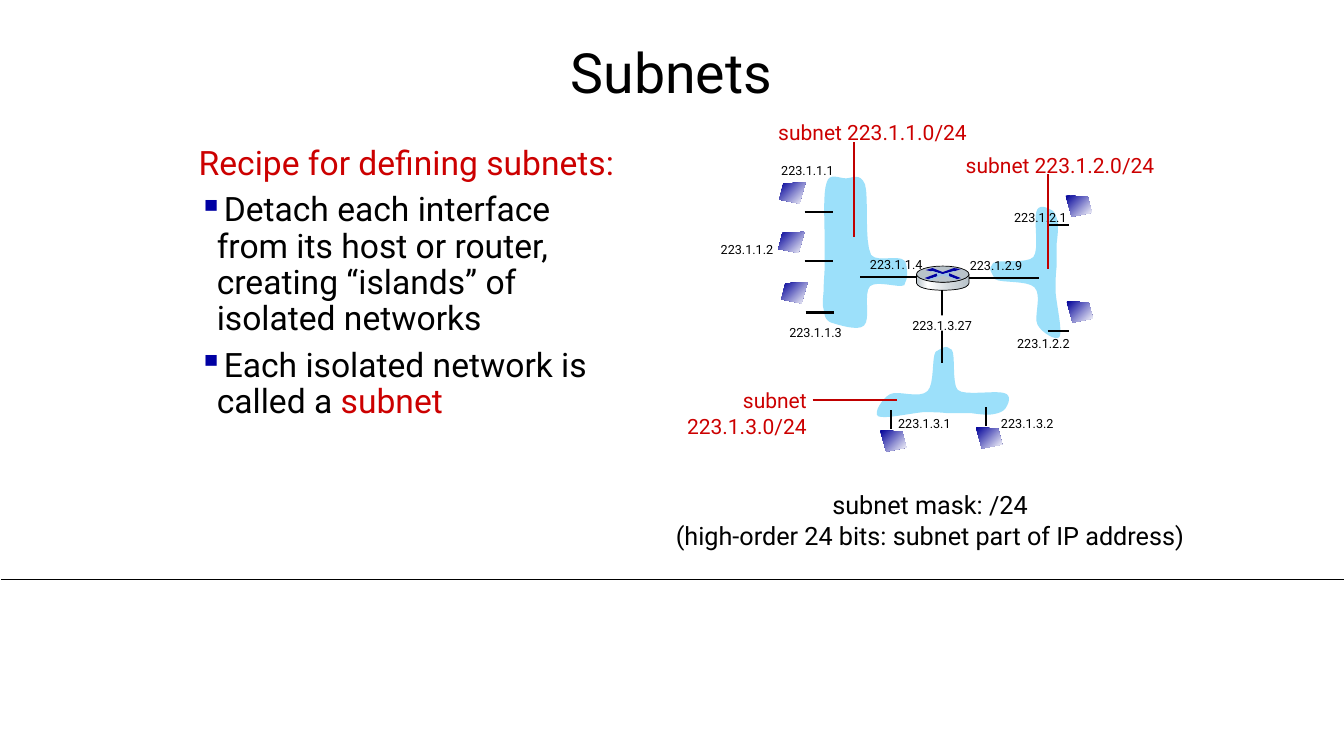
from lxml import etree
from pptx import Presentation, util as u
from pptx.dml.color import RGBColor
from pptx.enum import shapes, text
from pptx.oxml.ns import qn

BLACK = RGBColor(0x00, 0x00, 0x00)
WHITE = RGBColor(0xFF, 0xFF, 0xFF)
RED = RGBColor(0xCC, 0x00, 0x00)
LEADER_RED = RGBColor(0xC0, 0x00, 0x00)
ISLAND_BLUE = RGBColor(0x9C, 0xE0, 0xFA)
HOST_BLUE = RGBColor(0x00, 0x00, 0x99)
ARROW_BLUE = RGBColor(0x00, 0x00, 0xA3)
CROSS_BLUE = RGBColor(0x9D, 0xC3, 0xE6)
STEEL = RGBColor(0xB8, 0xC2, 0xC9)
PALE_STEEL = RGBColor(0xD6, 0xDC, 0xE0)
FONT = "Roboto"

RECIPE = [
    (False, [("Recipe for defining subnets:", RED)]),
    (True, [("Detach each interface from its host or router, creating "
             "“islands” of isolated networks", BLACK)]),
    (True, [("Each isolated network is called a ", BLACK), ("subnet", RED)]),
]
MASK = ["subnet mask: /24", "(high-order 24 bits: subnet part of IP address)"]

# Subnet name lines, box, alignment, leader ends, leader width
SUBNETS = [
    (["subnet", "223.1.3.0/24"], (6.71, 3.8, 1.39, 0.61), text.PP_ALIGN.RIGHT,
     (8.06, 3.97, 8.9, 3.97), 1.25),
    (["subnet 223.1.1.0/24"], (7.62, 1.14, 2.09, 0.35), text.PP_ALIGN.LEFT,
     (8.47, 1.41, 8.47, 2.35), 1.5),
    (["subnet 223.1.2.0/24"], (9.48, 1.46, 2.09, 0.35), text.PP_ALIGN.LEFT,
     (10.39, 1.73, 10.39, 2.67), 1.5),
]
ADDRESSES = [
    ("223.1.1.1", 7.65, 1.57), ("223.1.1.2", 7.05, 2.35), ("223.1.1.3", 7.73, 3.17),
    ("223.1.1.4", 8.53, 2.5), ("223.1.2.9", 9.52, 2.51), ("223.1.2.2", 9.99, 3.28),
    ("223.1.2.1", 9.96, 2.03), ("223.1.3.2", 9.83, 4.08), ("223.1.3.1", 8.81, 4.08),
    ("223.1.3.27", 8.95, 3.1),
]
LABEL_BACKINGS = [(7.12, 2.42, 0.68, 0.15), (9, 3.13, 0.7, 0.15)]

# Stub starts, then the shared direction and length
STUBS = [
    ([(7.98, 2.1), (7.98, 2.59), (7.99, 3.1)], (0.28, 0)),
    ([(10.39, 2.23), (10.39, 3.28)], (0.21, 0)),
    ([(8.84, 4.07), (9.78, 4.04)], (0, 0.19)),
    ([(9.34, 2.88)], (0, 0.72)),
    ([(8.53, 2.75)], (0.65, 0)),
    ([(9.5, 2.76)], (0.8, 0)),
]
HOST_W = 0.26
HOST_CORNERS = [(0, 0), (0.22, 0.01), (HOST_W, 0.17), (0.06, 0.21)]
HOSTS = [  # left, top, mirrored
    (7.73, 1.81, True), (7.72, 2.3, True), (7.75, 2.8, True),
    (10.57, 1.94, False), (10.58, 2.99, False), (9.68, 4.24, False), (8.73, 4.27, False),
]

# Outlines: a start point, then line ends (x, y) or curves (two controls and an end)
ISLANDS = [
    [(9.28, 3.49), (9.24, 3.55, 9.27, 3.81, 9.2, 3.88), (9.12, 3.96, 8.91, 3.87, 8.83, 3.91),
     (8.75, 3.95, 8.66, 4.1, 8.71, 4.13), (8.77, 4.16, 9.04, 4.1, 9.15, 4.09),
     (9.27, 4.09, 9.32, 4.09, 9.4, 4.1), (9.49, 4.1, 9.56, 4.1, 9.64, 4.1),
     (9.71, 4.11, 9.79, 4.12, 9.85, 4.11), (9.91, 4.1, 9.96, 4.08, 9.98, 4.04),
     (10, 4.01, 10.04, 3.92, 9.96, 3.9), (9.88, 3.87, 9.57, 3.93, 9.5, 3.87),
     (9.44, 3.81, 9.48, 3.52, 9.44, 3.47), (9.38, 3.44, 9.4, 3.42, 9.28, 3.49)],
    [(9.87, 2.77), (9.93, 2.81, 10.19, 2.78, 10.26, 2.85), (10.34, 2.93, 10.25, 3.14, 10.29, 3.22),
     (10.33, 3.3, 10.48, 3.39, 10.51, 3.34), (10.54, 3.29, 10.48, 3.02, 10.47, 2.9),
     (10.47, 2.79, 10.47, 2.73, 10.48, 2.65), (10.48, 2.57, 10.48, 2.49, 10.48, 2.42),
     (10.49, 2.34, 10.5, 2.26, 10.49, 2.2), (10.48, 2.15, 10.46, 2.09, 10.42, 2.08),
     (10.39, 2.06, 10.3, 2.02, 10.28, 2.1), (10.25, 2.17, 10.31, 2.48, 10.25, 2.55),
     (10.19, 2.62, 9.9, 2.57, 9.85, 2.61), (9.82, 2.67, 9.8, 2.65, 9.87, 2.77)],
    [(8.99, 2.63), (8.98, 2.49, 8.71, 2.62, 8.64, 2.53), (8.57, 2.39, 8.62, 1.96, 8.58, 1.83),
     (8.53, 1.71, 8.45, 1.77, 8.39, 1.77), (8.32, 1.77, 8.23, 1.71, 8.2, 1.81),
     (8.16, 1.91, 8.18, 2.24, 8.18, 2.37), (8.18, 2.51, 8.18, 2.54, 8.18, 2.63),
     (8.18, 2.71, 8.17, 2.78, 8.17, 2.86), (8.17, 2.93, 8.15, 3.01, 8.17, 3.07),
     (8.18, 3.13, 8.18, 3.17, 8.24, 3.2), (8.31, 3.22, 8.51, 3.29, 8.57, 3.23),
     (8.64, 3.17, 8.56, 2.91, 8.63, 2.84), (8.7, 2.78, 8.91, 2.86, 8.97, 2.83),
     (8.99, 2.76, 9.01, 2.77, 8.99, 2.63)],
]
ROUTER_SIDE = [(9.61, 2.72), (9.61, 2.81), (9.6, 2.87, 9.44, 2.88, 9.35, 2.88),
               (9.27, 2.88, 9.11, 2.87, 9.09, 2.81), (9.09, 2.72),
               (9.12, 2.77, 9.26, 2.8, 9.35, 2.8), (9.44, 2.8, 9.59, 2.78, 9.61, 2.72)]
ROUTER_TOP = (9.09, 2.64, 0.52, 0.16)
ROUTER_MARKS = [
    (ARROW_BLUE, [(9.46, 2.66), (9.53, 2.67), (9.47, 2.69), (9.46, 2.69), (9.35, 2.72),
                  (9.25, 2.69), (9.23, 2.69), (9.18, 2.68), (9.25, 2.66), (9.35, 2.7)]),
    (ARROW_BLUE, [(9.41, 2.71), (9.53, 2.76), (9.49, 2.77), (9.41, 2.74)]),
    (ARROW_BLUE, [(9.3, 2.71), (9.3, 2.74), (9.21, 2.77), (9.17, 2.76)]),
    (CROSS_BLUE, [(9.23, 2.69), (9.25, 2.69), (9.35, 2.72), (9.46, 2.69), (9.48, 2.69),
                  (9.41, 2.71), (9.41, 2.74), (9.49, 2.77), (9.47, 2.77), (9.35, 2.73),
                  (9.23, 2.78), (9.21, 2.77), (9.3, 2.74), (9.29, 2.71)]),
]
HOST_SHADE = (45, [(0, HOST_BLUE), (100, WHITE)])
ROUTER_SHADE = (0, [(0, STEEL), (21, WHITE), (60, PALE_STEEL), (100, STEEL)])

prs = Presentation()
prs.slide_width, prs.slide_height = u.Inches(13.33), u.Inches(7.5)
slide = prs.slides.add_slide(prs.slide_layouts[6])


def inches(values):
    return [u.Inches(v) for v in values]


def paint(shape, fill, outlined=False):
    """Fill with a colour, or with a shade given as (angle, stops)."""
    shape.shadow.inherit = False
    if isinstance(fill, RGBColor):
        shape.fill.solid()
        shape.fill.fore_color.rgb = fill
    else:
        angle, stops = fill
        shape.fill.gradient()
        shape.fill.gradient_angle = -angle % 360
        stop_list = shape._element.spPr.find(".//" + qn("a:gsLst"))
        for old in list(stop_list):
            stop_list.remove(old)
        for share, color in stops:
            stop = etree.SubElement(stop_list, qn("a:gs"), pos=str(share * 1000))
            etree.SubElement(stop, qn("a:srgbClr"), val=str(color))
    if outlined:
        shape.line.color.rgb, shape.line.width = BLACK, u.Pt(0.5)
    else:
        shape.line.fill.background()


def add_preset(kind, box, fill, outlined=False):
    paint(slide.shapes.add_shape(kind, *inches(box)), fill, outlined)


def add_outline(outline, fill, outlined=False, steps=8):
    """Draw a closed outline, walking each cubic curve in equal steps."""
    points = [outline[0]]
    for segment in outline[1:]:
        if len(segment) == 2:
            points.append(segment)
            continue
        start = points[-1]
        for t in (i / steps for i in range(1, steps + 1)):
            points.append(tuple(
                (1 - t) ** 3 * start[a] + 3 * (1 - t) ** 2 * t * segment[a]
                + 3 * (1 - t) * t ** 2 * segment[a + 2] + t ** 3 * segment[a + 4]
                for a in (0, 1)))
    builder = slide.shapes.build_freeform(*inches(points[0]))
    builder.add_line_segments([inches(p) for p in points[1:]], close=True)
    paint(builder.convert_to_shape(), fill, outlined)


def add_line(ends, color, width):
    line = slide.shapes.add_connector(shapes.MSO_CONNECTOR.STRAIGHT, *inches(ends))
    line.line.color.rgb, line.line.width = color, u.Pt(width)
    etree.SubElement(line._element.spPr, qn("a:effectLst"))


def add_run(paragraph, words, size, color):
    run = paragraph.add_run()
    run.text = words
    run.font.name, run.font.size, run.font.color.rgb = FONT, u.Pt(size), color


def add_text(box, lines, size, color=BLACK, align=text.PP_ALIGN.LEFT):
    frame = slide.shapes.add_textbox(*inches(box)).text_frame
    frame.word_wrap = False
    for i, words in enumerate(lines):
        paragraph = frame.add_paragraph() if i else frame.paragraphs[0]
        paragraph.alignment = align
        add_run(paragraph, words, size, color)
    return frame


def add_recipe(box):
    frame = slide.shapes.add_textbox(*inches(box)).text_frame
    frame.word_wrap = True
    frame.margin_left = frame.margin_right = u.Inches(0.07)
    frame.margin_top = frame.margin_bottom = u.Inches(0.04)
    for i, (bulleted, runs) in enumerate(RECIPE):
        paragraph = frame.add_paragraph() if i else frame.paragraphs[0]
        props = paragraph._p.get_or_add_pPr()
        props.set("marL", str(u.Inches(0.29)))
        props.set("indent", str(u.Inches(-0.18)))
        paragraph.line_spacing = 0.9
        paragraph.space_before = u.Pt(7.5 if i else 0)
        if bulleted:
            tint = etree.SubElement(props, qn("a:buClr"))
            etree.SubElement(tint, qn("a:srgbClr"), val=str(ARROW_BLUE))
            etree.SubElement(props, qn("a:buChar"), char="▪")
        for words, color in runs:
            add_run(paragraph, words, 24, color)


add_line((0.01, 5.75, 13.33, 5.75), BLACK, 0.5)
title = add_text((2.35, 0.38, 8.62, 0.73), ["Subnets"], 39.6, align=text.PP_ALIGN.CENTER)
title.word_wrap = True
title.vertical_anchor = text.MSO_ANCHOR.MIDDLE
title.paragraphs[0].line_spacing = 0.9
add_recipe((1.79, 1.41, 4.52, 4.09))

for island in ISLANDS:
    add_outline(island, ISLAND_BLUE)
for starts, (dx, dy) in STUBS:
    for x, y in starts:
        add_line((x, y, x + dx, y + dy), BLACK, 1.5)
for backing in LABEL_BACKINGS:
    add_preset(shapes.MSO_SHAPE.RECTANGLE, backing, WHITE)
for address, x, y in ADDRESSES:
    add_text((x, y, 0.8 if len(address) > 9 else 0.73, 0.25), [address], 9)
for x, y, mirrored in HOSTS:
    add_outline([(x + (HOST_W - dx if mirrored else dx), y + dy) for dx, dy in HOST_CORNERS],
                HOST_SHADE)

add_outline(ROUTER_SIDE, ROUTER_SHADE, outlined=True)
add_preset(shapes.MSO_SHAPE.OVAL, ROUTER_TOP, STEEL, outlined=True)
for color, mark in ROUTER_MARKS:
    add_outline(mark, color)

add_text((6.57, 4.81, 5.31, 0.71), MASK, 18, align=text.PP_ALIGN.CENTER)
for name, box, align, leader, width in SUBNETS:
    add_text(box, name, 15, RED, align)
    add_line(leader, LEADER_RED, width)

prs.save("out.pptx")
